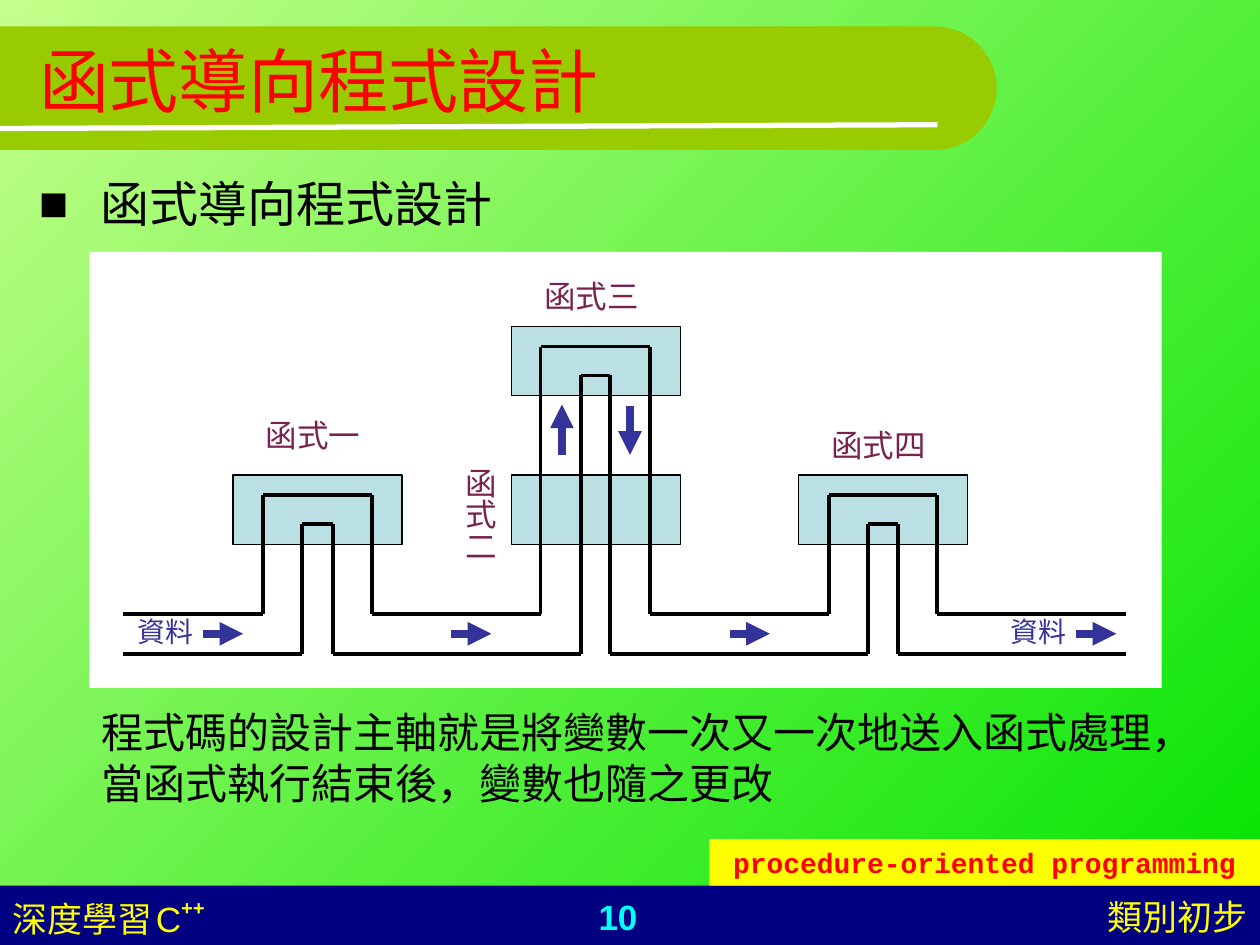
from itertools import pairwise
from math import cos, pi, sin

from lxml.etree import SubElement
from pptx import Presentation
from pptx.dml.color import RGBColor
from pptx.enum.shapes import MSO_CONNECTOR, MSO_SHAPE
from pptx.enum.text import MSO_ANCHOR, MSO_AUTO_SIZE, PP_ALIGN
from pptx.oxml.ns import qn
from pptx.util import Inches, Pt

BLACK = RGBColor(0x00, 0x00, 0x00)
WHITE = RGBColor(0xFF, 0xFF, 0xFF)
RED = RGBColor(0xFF, 0x00, 0x00)
YELLOW = RGBColor(0xFF, 0xFF, 0x00)
CYAN = RGBColor(0x00, 0xFF, 0xFF)
NAVY = RGBColor(0x00, 0x00, 0x80)
OLIVE = RGBColor(0x99, 0xCC, 0x00)
PALE_BLUE = RGBColor(0xBB, 0xE0, 0xE3)
PLUM = RGBColor(0x78, 0x22, 0x4D)
INDIGO = RGBColor(0x33, 0x33, 0x99)
LIGHT_GREEN = RGBColor(0xC5, 0xFF, 0x8B)
GREEN = RGBColor(0x00, 0xE4, 0x00)

SANS, MONO = "Arial", "Courier New"
CHINESE, TAIWANESE = "Noto Sans CJK SC", "Noto Sans CJK TC"
COLUMNS, ROWS = 100, 75


class SlideBuilder:
    def __init__(self, presentation):
        self.slide = presentation.slides.add_slide(presentation.slide_layouts[5])
        self.shapes = self.slide.shapes
        self.column = presentation.slide_width / COLUMNS
        self.row = presentation.slide_height / ROWS

    def place(self, *lengths):
        return [round(length * (self.row if index % 2 else self.column))
                for index, length in enumerate(lengths)]

    def background(self, first, last):
        fill = self.slide.background.fill
        fill.gradient()
        fill.gradient_angle = 315
        for stop, color, position in zip(fill.gradient_stops, (first, last), (0, 1)):
            stop.color.rgb = color
            stop.position = position

    def paint(self, shape, fill, outline=None):
        shape.shadow.inherit = False
        shape.fill.solid()
        shape.fill.fore_color.rgb = fill
        if outline is None:
            shape.line.fill.background()
        else:
            shape.line.color.rgb = outline
            shape.line.width = Pt(0.75)

    def rectangle(self, box, fill, outline=None):
        shape = self.shapes.add_shape(MSO_SHAPE.RECTANGLE, *self.place(*box))
        self.paint(shape, fill, outline)
        return shape

    def band(self, top, bottom, straight, fill):
        radius = (bottom - top) / 2
        angles = [pi * step / 40 - pi / 2 for step in range(41)]
        arc = [(straight + radius * cos(angle), top + radius + radius * sin(angle))
               for angle in angles]
        builder = self.shapes.build_freeform(*self.place(0, top))
        builder.add_line_segments([self.place(*point) for point in arc + [(0, bottom)]])
        self.paint(builder.convert_to_shape(), fill)

    def line(self, start, end, color, width, arrow=False):
        connector = self.shapes.add_connector(
            MSO_CONNECTOR.STRAIGHT, *self.place(*start, *end))
        connector.line.color.rgb = color
        connector.line.width = Pt(width)
        if arrow:
            SubElement(connector.line._get_or_add_ln(), qn("a:tailEnd"), type="triangle")
        SubElement(connector._element.spPr, qn("a:effectLst"))

    def pipe(self, points):
        for start, end in pairwise(points):
            self.line(start, end, BLACK, 2.25)

    def format(self, paragraph, font, size, color, bold=False, align=PP_ALIGN.LEFT):
        paragraph.alignment = align
        paragraph.font.name = font
        paragraph.font.size = Pt(size)
        paragraph.font.bold = bold
        paragraph.font.color.rgb = color
        east_asian = font if font == CHINESE else TAIWANESE
        SubElement(paragraph._p.pPr.find(qn("a:defRPr")), qn("a:ea"), typeface=east_asian)

    def text(self, box, words, font, size, color, wrap=True, **style):
        shape = self.shapes.add_textbox(*self.place(*box))
        shape.text_frame.word_wrap = wrap
        paragraph = shape.text_frame.paragraphs[0]
        if words:
            paragraph.text = words
        self.format(paragraph, font, size, color, **style)
        return shape

    def vertical_text(self, box, words, font, size, color):
        frame = self.text(box, words, font, size, color, wrap=False).text_frame
        frame.margin_left = frame.margin_right = Inches(0.05)
        frame.margin_top = frame.margin_bottom = Inches(0.1)
        frame._txBody.bodyPr.set("vert", "eaVert")

    def bullet(self, box, words, font, size, color):
        shape = self.shapes.add_textbox(*self.place(*box))
        shape.text_frame.word_wrap = True
        paragraph = shape.text_frame.paragraphs[0]
        paragraph.text = words
        properties = paragraph._p.get_or_add_pPr()
        properties.set("marL", str(Inches(0.49)))
        properties.set("indent", str(Inches(-0.49)))
        bullet_color = SubElement(properties, qn("a:buClr"))
        SubElement(bullet_color, qn("a:srgbClr"), val=str(color))
        SubElement(properties, qn("a:buFont"), typeface=SANS)
        SubElement(properties, qn("a:buChar"), char="■")
        self.format(paragraph, font, size, color)

    def title(self, box, words, size, color):
        title = self.shapes.title
        title.left, title.top, title.width, title.height = self.place(*box)
        frame = title.text_frame
        frame.text = words
        frame.vertical_anchor = MSO_ANCHOR.MIDDLE
        frame.auto_size = MSO_AUTO_SIZE.NONE
        self.format(frame.paragraphs[0], SANS, size, color)
        self.shapes._spTree.append(title._element)


def add_frame(builder):
    builder.background(LIGHT_GREEN, GREEN)
    builder.rectangle((0, 70.3, 100, 4.7), NAVY)
    builder.text((37.4, 70.6, 23.3, 4.4), "10", SANS, 20, CYAN,
                 bold=True, align=PP_ALIGN.CENTER)
    builder.text((67.3, 70.6, 32.7, 4.4), "類別初步", SANS, 20, YELLOW, align=PP_ALIGN.RIGHT)
    builder.band(2.1, 11.9, 74.2, OLIVE)
    builder.line((0, 10.2), (74.4, 9.9), WHITE, 3)
    footer = builder.text((0, 70.6, 23.3, 4.4), "", SANS, 20, YELLOW)
    paragraph = footer.text_frame.paragraphs[0]
    for words, size in (("深度學習", 20), (" ", 8), ("C", 20), ("++", 20)):
        run = paragraph.add_run()
        run.text = words
        run.font.size = Pt(size)
    run.font.bold = True
    run._r.get_or_add_rPr().set("baseline", "46000")


def add_diagram(builder):
    builder.rectangle((7.1, 20, 85.1, 34.6), WHITE)
    for left, top in ((40.6, 25.9), (40.6, 37.7), (18.5, 37.7), (63.4, 37.7)):
        builder.rectangle((left, top, 13.4, 5.5), PALE_BLUE, BLACK)

    upper, lower, start, end = 48.7, 51.9, 9.8, 89.4
    outer_loops = ((20.9, 29.5, 39.3), (42.9, 51.6, 27.5), (65.8, 74.4, 39.3))
    inner_loops = ((24, 26.4, 41.6), (46.1, 48.4, 29.8), (68.9, 71.3, 41.6))
    for level, loops in ((upper, outer_loops), (lower, inner_loops)):
        points = [(start, level)]
        for left, right, top in loops:
            points += [(left, level), (left, top), (right, top), (right, level)]
        builder.pipe(points + [(end, level)])

    for words, left, top in (("函式一", 20.1, 32.5), ("函式三", 42.2, 21.5),
                             ("函式四", 65, 33.3)):
        builder.text((left, top, 9.5, 4), words, MONO, 18, PLUM, wrap=False)
    builder.vertical_text((35.1, 36.1, 5, 8.5), "函式二", MONO, 18, PLUM)
    for left in (9.9, 79.2):
        builder.text((left, 48.3, 6.4, 3.7), "資料", MONO, 16, INDIGO, wrap=False)

    for left in (16.1, 35.8, 57.9, 85.4):
        builder.line((left, 50.3), (left + 3.2, 50.3), INDIGO, 4.5, arrow=True)
    builder.line((44.6, 36.1), (44.6, 32.1), INDIGO, 4.5, arrow=True)
    builder.line((50, 32.2), (50, 36.1), INDIGO, 4.5, arrow=True)


def add_explanation(builder):
    shape = builder.text((7.1, 55.6, 89.4, 10.2), "", CHINESE, 24, BLACK)
    paragraph = shape.text_frame.paragraphs[0]
    clauses = ("程式碼的設計主軸就是將變數一次又一次地送入函式處理", "，",
               "當函式執行結束後", "，", "變數也隨之更改")
    for clause in clauses:
        run = paragraph.add_run()
        run.text = clause
        font = TAIWANESE if clause == "，" else CHINESE
        run.font.name = font
        SubElement(run._r.get_or_add_rPr(), qn("a:ea"), typeface=font)


def main():
    presentation = Presentation()
    presentation.slide_width, presentation.slide_height = Inches(10), Inches(7.5)
    builder = SlideBuilder(presentation)
    add_frame(builder)
    builder.title((2.1, 0.6, 90, 11.5), "函式導向程式設計", 40, RED)
    add_diagram(builder)
    add_explanation(builder)
    builder.bullet((2.1, 13.3, 42.1, 5.7), "函式導向程式設計", CHINESE, 28, BLACK)
    label = builder.rectangle((56.3, 66.6, 43.7, 3.7), YELLOW)
    paragraph = label.text_frame.paragraphs[0]
    paragraph.text = "procedure-oriented programming"
    builder.format(paragraph, MONO, 16, RED, bold=True, align=PP_ALIGN.CENTER)
    presentation.save("out.pptx")


if __name__ == "__main__":
    main()
